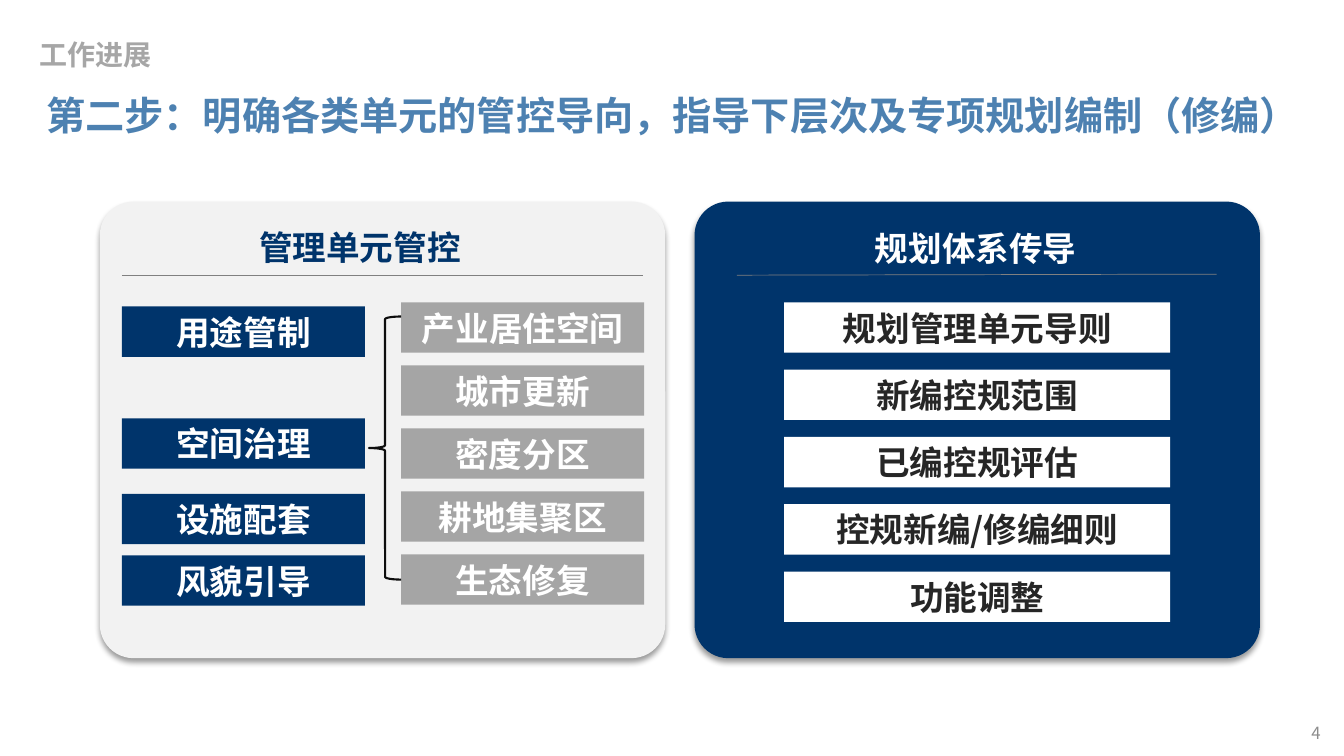
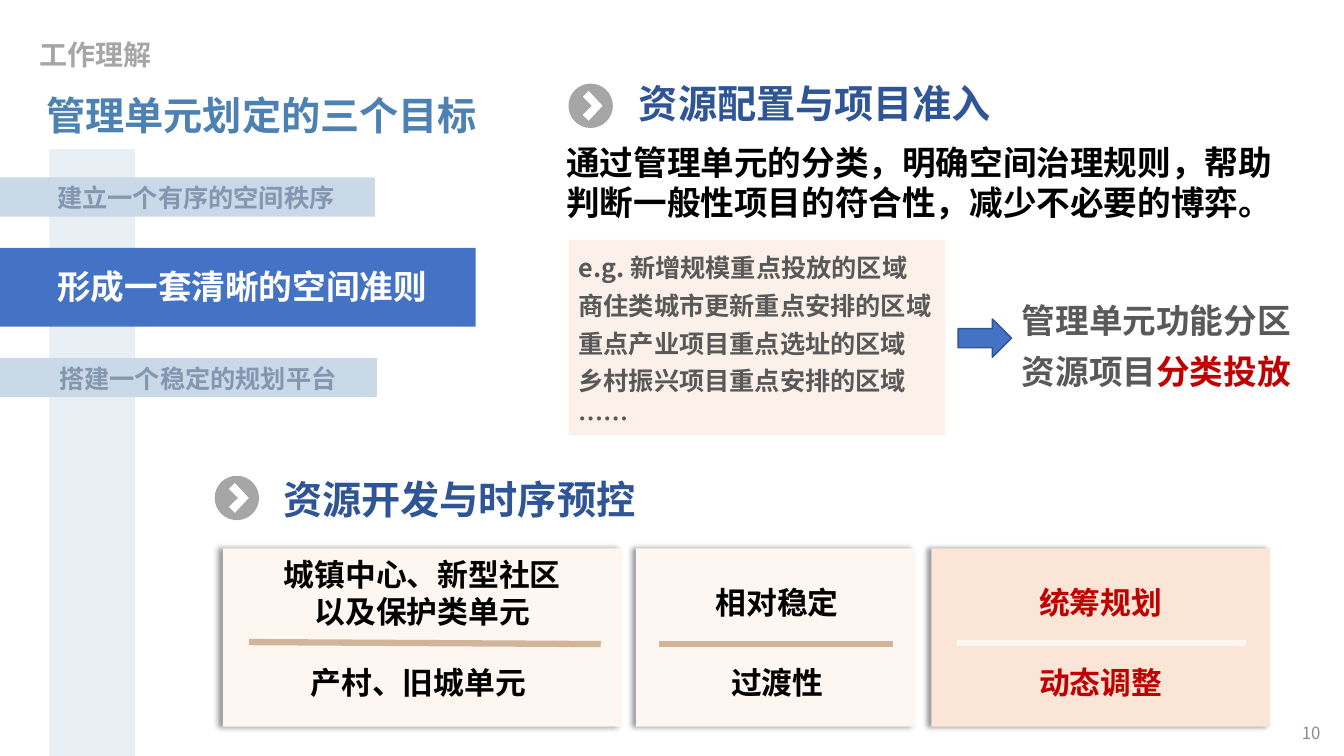
from math import cos, pi, sin
from lxml import etree
from pptx import Presentation, util as u
from pptx.dml.color import RGBColor
from pptx.enum import shapes as sh, text as tx
from pptx.oxml import ns

# Shared style
FONT = "Noto Sans CJK SC"
WIDE, HIGH = 40 / 3, 7.5
NAVY, BLUE, STEEL, DEEP = "00346B", "4472C4", "4D81B1", "2F5597"
WHITE, BLACK, INK, SOFT, RED = "FFFFFF", "000000", "262626", "595959", "C00000"
PALE, GRAY, MIST, SLATE = "F2F2F2", "A5A5A5", "C9D9E7", "8497B0"
CREAM, PEACH, TAN, DIM = "FEF6F0", "FBE5D6", "D1B59B", "A6A6A6"
KIND, ALIGN, ANCHOR = sh.MSO_SHAPE, tx.PP_ALIGN, tx.MSO_ANCHOR
MID = ALIGN.CENTER

# Slide 1 content
STEP = ("工作进展", "第二步：明确各类单元的管控导向，指导下层次及专项规划编制（修编）", 4)
PANELS = [  # left, fill, heading, heading left and top, colour, rule ends
    (6.89, NAVY, "规划体系传导", 8.48, 2.21, WHITE, (7.31, 2.73, 12.07, 2.72)),
    (0.99, PALE, "管理单元管控", 2.37, 2.2, NAVY, (1.21, 2.73, 6.38, 2.73)),
]
CONTROLS = [("用途管制", 3.04), ("空间治理", 4.15), ("设施配套", 4.9), ("风貌引导", 5.51)]
SPACES = ["产业居住空间", "城市更新", "密度分区", "耕地集聚区", "生态修复"]
RULES = ["规划管理单元导则", "新编控规范围", "已编控规评估", "控规新编/修编细则", "功能调整"]

# Slide 2 content
GOAL = ("工作理解", "管理单元划定的三个目标", 10)
GOALS = [  # text, text place, size, colour, band place, fill
    ("形成一套清晰的空间准则", (0.47, 2.59, 3.94, 0.52), 24, WHITE, (-0.02, 2.46, 4.74, 0.78), BLUE),
    ("建立一个有序的空间秩序", (0.47, 1.76, 3.92, 0.4), 18, SLATE, (-0.02, 1.76, 3.74, 0.39), MIST),
    ("搭建一个稳定的规划平台", (0.49, 3.56, 3.92, 0.4), 18, SLATE, (0, 3.55, 3.74, 0.39), MIST),
]
HEADS = [("资源配置与项目准入", 5.64, 0.83, 6.24, 0.74),
         ("资源开发与时序预控", 2.13, 4.72, 2.71, 4.67)]
INTRO = "通过管理单元的分类，明确空间治理规则，帮助判断一般性项目的符合性，减少不必要的博弈。"
CASES = ["e.g. 新增规模重点投放的区域", "商住类城市更新重点安排的区域",
         "重点产业项目重点选址的区域", "乡村振兴项目重点安排的区域", "……"]
RESULT = ["管理单元功能分区", [("资源项目", SOFT), ("分类投放", RED)]]
CARDS = [  # left, width, fill, rule colour, rule ends, text colour, (lines, place) pairs
    (2.21, 3.95, CREAM, TAN, (2.47, 6.37, 5.96, 6.39), BLACK,
     [(["城镇中心、新型社区", "以及保护类单元"], (2.57, 5.46, 3.24, 0.84)),
      (["产村、旧城单元"], (2.71, 6.54, 2.88, 0.47))]),
    (6.31, 2.77, CREAM, TAN, (6.54, 6.39, 8.86, 6.39), BLACK,
     [(["相对稳定"], (6.27, 5.74, 2.88, 0.47)), (["过渡性"], (6.27, 6.54, 2.88, 0.47))]),
    (9.24, 3.36, PEACH, CREAM, (9.49, 6.38, 12.36, 6.38), RED,
     [(["统筹规划"], (9.48, 5.74, 2.88, 0.47)), (["动态调整"], (9.48, 6.54, 2.88, 0.47))]),
]
CHEVRON = [(0.34, 0.22), (0.2, 0.07), (0.14, 0.13), (0.23, 0.22), (0.14, 0.31), (0.2, 0.37)]


def rgb(code):
    return RGBColor.from_string(code)


def sub(node, tag, **att):
    return etree.SubElement(node, ns.qn("a:" + tag), att)


def inch(*nums):
    return [u.Inches(n) for n in nums]


def write(shape, lines, size, color, align=ALIGN.LEFT, anchor=ANCHOR.TOP, bold=True, gap=None):
    """Fill a text frame; a line is a string or a list of (text, colour) runs."""
    frame = shape.text_frame
    frame.word_wrap, frame.vertical_anchor = True, anchor
    frame.auto_size = tx.MSO_AUTO_SIZE.NONE
    for i, line in enumerate(lines):
        para = frame.add_paragraph() if i else frame.paragraphs[0]
        para.alignment = align
        if gap:
            para.line_spacing = gap
        for words, tint in ([(line, color)] if isinstance(line, str) else line):
            run = para.add_run()
            run.text = words
            font = run.font
            font.size, font.bold, font.name = u.Pt(size), bold, FONT
            font.color.rgb = rgb(tint)
            sub(run._r.get_or_add_rPr(), "ea", typeface=FONT)
    return shape


def label(page, at, lines, size, color, *more, **opts):
    return write(page.shapes.add_textbox(*inch(*at)), lines, size, color, *more, **opts)


def paint(shape, fill, line=None, width=1):
    shape.shadow.inherit = False
    if fill:
        shape.fill.solid()
        shape.fill.fore_color.rgb = rgb(fill)
    else:
        shape.fill.background()
    if line:
        shape.line.color.rgb = rgb(line)
        shape.line.width = u.Pt(width)
    else:
        shape.line.fill.background()
    return shape


def block(page, at, fill, kind=KIND.RECTANGLE, **opts):
    return paint(page.shapes.add_shape(kind, *inch(*at)), fill, **opts)


def button(page, at, words, fill, color):
    write(block(page, at, fill), [words], 24, color, MID, ANCHOR.MIDDLE)


def shade(shape, angle):
    effects = shape._element.spPr.find(ns.qn("a:effectLst"))
    drop = sub(effects, "outerShdw", blurRad=str(u.Pt(4)), dist=str(u.Pt(3)),
               dir=str(angle * 60000), algn="ctr", rotWithShape="0")
    sub(sub(drop, "srgbClr", val=BLACK), "alpha", val="40000")


def rule(page, ends, color, width):
    line = page.shapes.add_connector(sh.MSO_CONNECTOR.STRAIGHT, *inch(*ends))
    line.line.color.rgb, line.line.width = rgb(color), u.Pt(width)
    sub(line._element.spPr, "effectLst")


def icon(page, left, top, size=0.44):
    """Disc of four curves with a chevron cut out."""
    rad, bend = size / 2, 0.5523
    turns = [i * pi / 2 for i in range(4)]
    disc = [(rad + rad * cos(t), rad + rad * sin(t)) for t in turns]
    rings = [[inch(left + x, top + y) for x, y in ring] for ring in (disc, CHEVRON)]
    build = page.shapes.build_freeform(*rings[0][0], scale=1.0)
    build.add_line_segments(rings[0][1:], close=True)
    build.move_to(*rings[1][0])
    build.add_line_segments(rings[1][1:], close=True)
    shape = paint(build.convert_to_shape(), DIM)
    # Turn the outer ring's straight sides into quarter arcs
    track = next(shape._element.iter(ns.qn("a:path")))
    for side in list(track)[1:4]:
        track.remove(side)
    for i, t in enumerate(turns):
        c, s, e = cos(t), sin(t), bend
        arc = etree.Element(ns.qn("a:cubicBezTo"))
        for x, y in ((c - e * s, s + e * c), (e * c - s, c + e * s), (-s, c)):
            sub(arc, "pt", x=str(u.Inches(rad + rad * x)), y=str(u.Inches(rad + rad * y)))
        track.insert(1 + i, arc)


def start(deck, section, title, number):
    """Title-only slide with section name and page number."""
    page = deck.slides.add_slide(deck.slide_layouts[5])
    head = page.shapes.title
    head.left, head.top, head.width, head.height = inch(0.36, 0.86, 12.75, 0.57)
    write(head, [title], 28, STEEL)
    name = label(page, (0.29, 0.16, 12.75, 0.55), [section], 20, DIM, ALIGN.JUSTIFY, gap=1.5)
    para = name.text_frame.paragraphs[0]
    para.space_before = para.space_after = u.Pt(6)
    label(page, (10.2, 7.07, 3, 0.4), [str(number)], 12, "8C8C8C",
          ALIGN.RIGHT, ANCHOR.MIDDLE, bold=False)
    return page


def control(deck):
    page = start(deck, *STEP)
    # Panels
    for left, fill, words, x, y, color, ends in PANELS:
        panel = block(page, (left, 2, 5.61, 4.53), fill, KIND.ROUNDED_RECTANGLE)
        panel.adjustments[0] = 0.074
        shade(panel, 90)
        label(page, (x, y, 2.4, 0.5), [words], 24, color, MID)
        rule(page, ends, "808080", 0.5)
    # Buttons
    for words, top in CONTROLS:
        button(page, (1.21, top, 2.41, 0.5), words, NAVY, WHITE)
    stacks = [(SPACES, 3.98, 2.41, 2.5, GRAY, WHITE), (RULES, 7.78, 3.83, 2.67, WHITE, INK)]
    for names, left, width, span, fill, color in stacks:
        step = span / (len(names) - 1)
        for i, words in enumerate(names):
            button(page, (left, 3 + i * step, width, 0.5), words, fill, color)
    block(page, (3.66, 3.14, 0.32, 2.61), None, KIND.LEFT_BRACE, line="0D0D0D", width=1.5)


def goals(deck):
    page = start(deck, *GOAL)
    # Goal bands on a vertical strip
    block(page, (0.49, 1.48, 0.85, HIGH - 1.48), "E8EFF5")
    for words, place, size, color, band, fill in GOALS:
        block(page, band, fill)
        label(page, place, [words], size, color)
    # Section heads
    for words, x, y, left, top in HEADS:
        icon(page, x, y)
        label(page, (left, top, 4.3, 0.57), [words], 28, DEEP)
    # Allocation
    label(page, (5.52, 1.36, 7.28, 0.91), [INTRO], 24, BLACK)
    box = block(page, (5.64, 2.38, 3.74, 1.94), PEACH)
    tint = box._element.spPr.find(ns.qn("a:solidFill"))[0]
    sub(tint, "alpha", val="50000")
    write(box, CASES, 18, SOFT, gap=1.25)
    arrow = block(page, (9.58, 3.09, 0.38, 0.53), BLUE, KIND.DOWN_ARROW, line="325491")
    arrow.rotation = 270
    label(page, (10.04, 2.83, 3.36, 1.06), RESULT, 24, SOFT, gap=1.25)
    # Timing cards
    for left, width, fill, bar, ends, color, parts in CARDS:
        shade(block(page, (left, 5.44, width, 1.77), fill), 180)
        rule(page, ends, bar, 4.5)
        for lines, place in parts:
            label(page, place, lines, 22, color, MID)


def main():
    deck = Presentation()
    deck.slide_width, deck.slide_height = inch(WIDE, HIGH)
    control(deck)
    goals(deck)
    deck.save("out.pptx")


if __name__ == "__main__":
    main()
